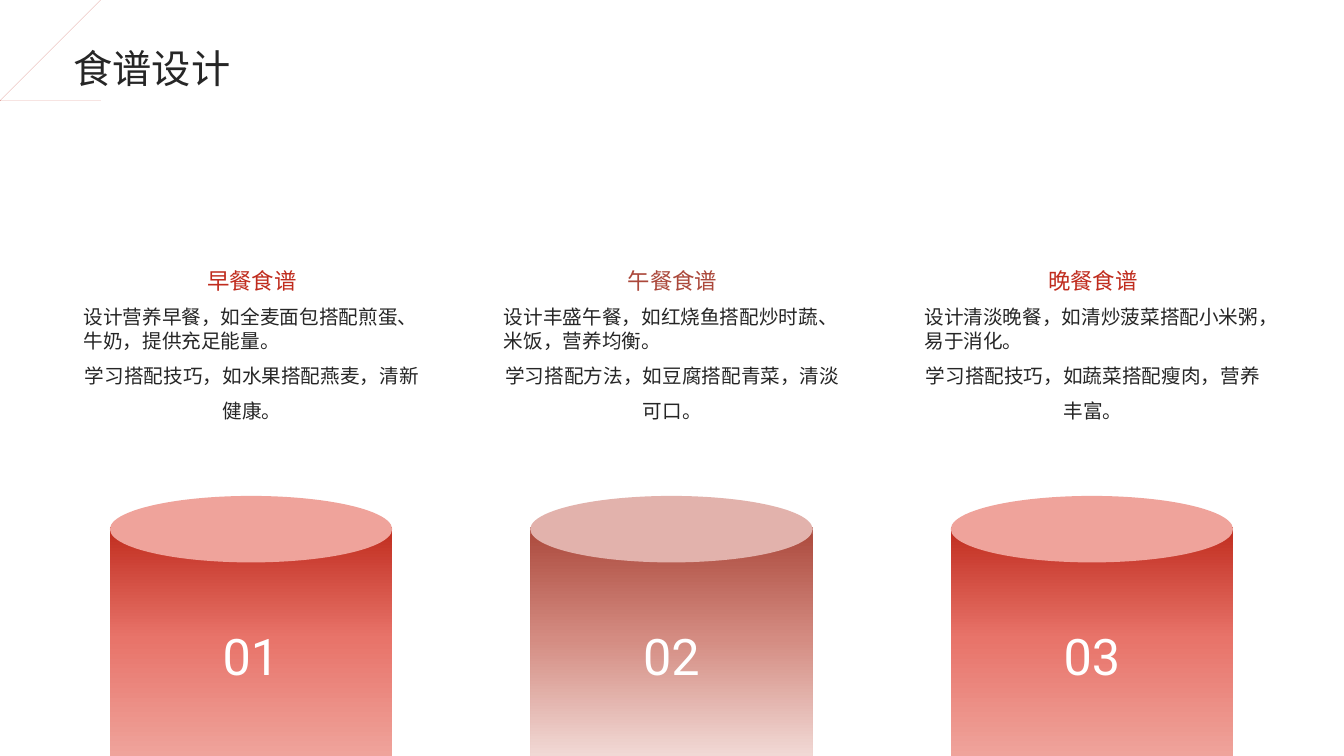
from copy import deepcopy
from dataclasses import dataclass

from lxml.etree import SubElement
from pptx import Presentation
from pptx.dml.color import RGBColor
from pptx.enum.shapes import MSO_SHAPE
from pptx.enum.text import MSO_ANCHOR, PP_ALIGN
from pptx.oxml.ns import qn
from pptx.util import Inches, Pt


@dataclass(frozen=True)
class Theme:
    cjk: str = "Noto Sans CJK SC"
    latin: str = "Roboto"
    ink: str = "262626"
    white: str = "FFFFFF"
    red: str = "C02C1E"
    red_mid: str = "E8746A"
    red_light: str = "EFA39B"
    clay: str = "AB483B"
    clay_mid: str = "D48C82"
    clay_light: str = "F1D9D5"
    clay_top: str = "E2B2AC"
    title_size: int = 28
    heading_size: int = 16
    body_size: int = 14
    number_size: int = 36


THEME = Theme()
RED_DRUM = ((THEME.red, THEME.red_mid, THEME.red_light), THEME.red_light)
CLAY_DRUM = ((THEME.clay, THEME.clay_mid, THEME.clay_light), THEME.clay_top)
GRADIENT_POSITIONS = (0, 0.49, 1)

MEALS = [
    ("01", "早餐食谱", "设计营养早餐，如全麦面包搭配煎蛋、牛奶，提供充足能量。",
     "学习搭配技巧，如水果搭配燕麦，清新健康。", RED_DRUM),
    ("02", "午餐食谱", "设计丰盛午餐，如红烧鱼搭配炒时蔬、米饭，营养均衡。",
     "学习搭配方法，如豆腐搭配青菜，清淡可口。", CLAY_DRUM),
    ("03", "晚餐食谱", "设计清淡晚餐，如清炒菠菜搭配小米粥，易于消化。",
     "学习搭配技巧，如蔬菜搭配瘦肉，营养丰富。", RED_DRUM),
]
COLUMN_LEFT, COLUMN_PITCH, COLUMN_TOP = 0.73, 4.17, 2.57

# Star outlines in inches, relative to the top left of the emblem
STARS = [
    [(0.21, 0.5), (0.27, 0.55), (0.34, 0.52), (0.31, 0.59), (0.36, 0.64),
     (0.29, 0.64), (0.25, 0.71), (0.24, 0.63), (0.16, 0.62), (0.23, 0.58)],
    [(0.11, 0.2), (0.18, 0.29), (0.29, 0.26), (0.23, 0.35), (0.29, 0.44),
     (0.18, 0.41), (0.11, 0.5), (0.11, 0.39), (0, 0.35), (0.11, 0.31)],
    [(0.26, 0), (0.3, 0.07), (0.37, 0.06), (0.32, 0.12), (0.35, 0.19),
     (0.28, 0.15), (0.22, 0.2), (0.23, 0.13), (0.17, 0.08), (0.25, 0.07)],
]


def add_text(slide, box, paragraphs, size, color, font=THEME.cjk, inset=None):
    """Add a text box; each paragraph is (text, alignment, line spacing)."""
    frame = slide.shapes.add_textbox(*map(Inches, box)).text_frame
    frame_format = {"word_wrap": True, "vertical_anchor": MSO_ANCHOR.TOP}
    if inset is not None:
        for side in ("left", "top", "right", "bottom"):
            frame_format[f"margin_{side}"] = Inches(inset)
    for name, value in frame_format.items():
        setattr(frame, name, value)
    for index, (text, alignment, spacing) in enumerate(paragraphs):
        paragraph = frame.add_paragraph() if index else frame.paragraphs[0]
        paragraph.alignment, paragraph.line_spacing = alignment, spacing
        run = paragraph.add_run()
        run.text = text
        for name, value in {"name": font, "size": Pt(size)}.items():
            setattr(run.font, name, value)
        run.font.color.rgb = RGBColor.from_string(color)
        SubElement(run.font._element, qn("a:ea"), typeface=font)


def finish(shape, color=None):
    """Remove the line and shadow, and apply a solid fill if one is given."""
    shape.shadow.inherit = False
    shape.line.fill.background()
    if color:
        shape.fill.solid()
        shape.fill.fore_color.rgb = RGBColor.from_string(color)


def fill_downwards(shape, colors):
    """Fill the shape with a three-stop gradient from top to bottom."""
    shape.fill.gradient()
    shape.fill.gradient_angle = 270
    stop_list = shape._element.spPr.find(".//" + qn("a:gsLst"))
    stop_list.append(deepcopy(stop_list[-1]))
    for stop, color, position in zip(shape.fill.gradient_stops, colors, GRADIENT_POSITIONS):
        stop.color.rgb = RGBColor.from_string(color)
        stop.position = position


def add_header(slide, left, top):
    builder = None
    for star in STARS:
        points = [(left + x, top + y) for x, y in star]
        if builder is None:
            builder = slide.shapes.build_freeform(*points[0], scale=Inches(1))
        else:
            builder.move_to(*points[0])
        builder.add_line_segments(points[1:], close=True)
    finish(builder.convert_to_shape(), THEME.red)
    add_text(slide, (left + 0.47, top + 0.06, 11.35, 0.59),
             [("食谱设计", PP_ALIGN.LEFT, 1.3)], THEME.title_size, THEME.ink, inset=0)


def add_drum(slide, left, top, number, body_colors, lid_color):
    width = 2.8
    body = slide.shapes.add_shape(
        MSO_SHAPE.RECTANGLE, *map(Inches, (left, top + 0.31, width, 2.27)))
    finish(body)
    fill_downwards(body, body_colors)
    lid = slide.shapes.add_shape(
        MSO_SHAPE.FLOWCHART_CONNECTOR, *map(Inches, (left, top, width, 0.66)))
    finish(lid, lid_color)
    add_text(slide, (left + 0.73, top + 1.17, 1.34, 0.71),
             [(number, PP_ALIGN.CENTER, 1.1)], THEME.number_size, THEME.white, THEME.latin)


def add_meal(slide, left, top, meal):
    number, heading, dishes, pairing, (body_colors, lid_color) = meal
    width = 3.54
    add_text(slide, (left, top + 0.41, width, 1.37),
             [(dishes, PP_ALIGN.LEFT, 1.0), (pairing, PP_ALIGN.CENTER, 1.5)],
             THEME.body_size, THEME.ink)
    add_text(slide, (left, top, width, 0.4),
             [(heading, PP_ALIGN.CENTER, 1.1)], THEME.heading_size, body_colors[0])
    add_drum(slide, left + 0.36, top + 2.35, number, body_colors, lid_color)


def main():
    deck = Presentation()
    deck.slide_width, deck.slide_height = Inches(13.33), Inches(7.5)
    slide = deck.slides.add_slide(deck.slide_layouts[6])
    for index, meal in enumerate(MEALS):
        add_meal(slide, COLUMN_LEFT + index * COLUMN_PITCH, COLUMN_TOP, meal)
    add_header(slide, 0.26, 0.24)
    deck.save("out.pptx")


if __name__ == "__main__":
    main()
